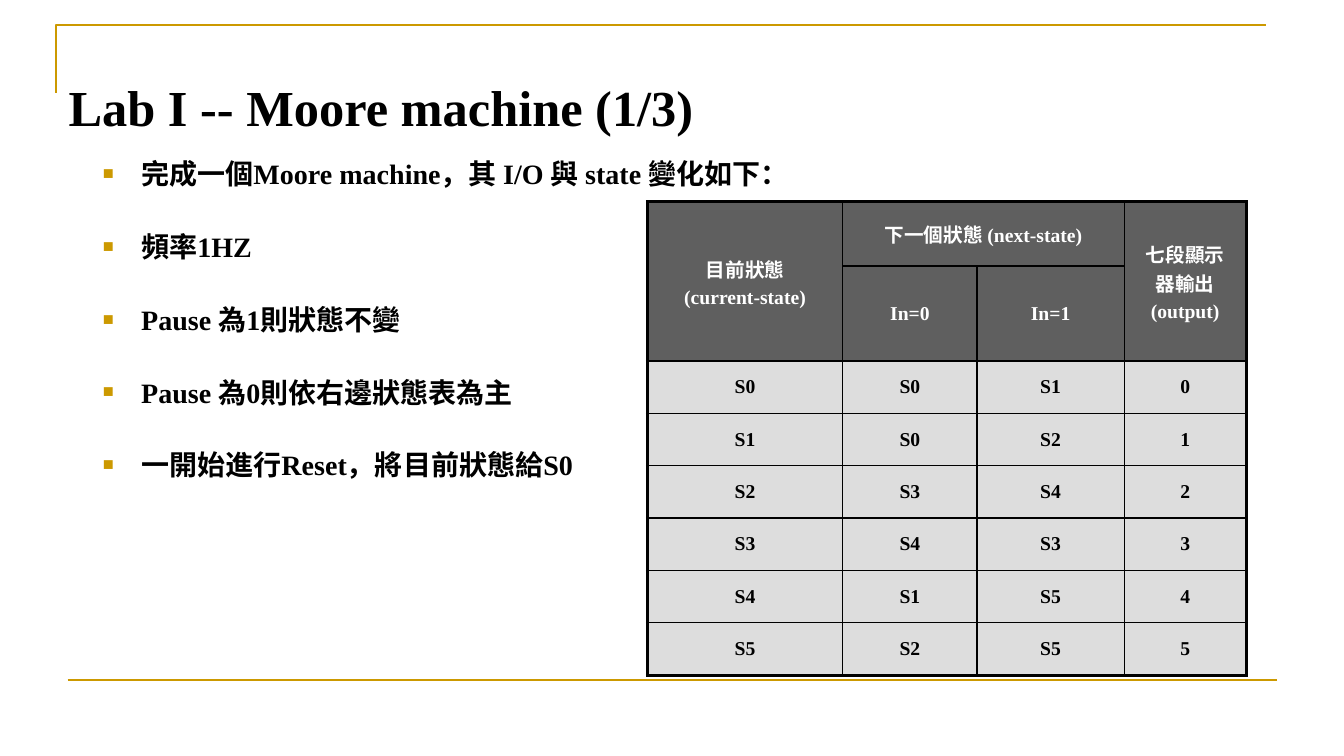
from dataclasses import dataclass

from lxml.etree import SubElement
from pptx import Presentation
from pptx.dml.color import RGBColor
from pptx.enum.shapes import MSO_CONNECTOR
from pptx.enum.text import MSO_ANCHOR, MSO_AUTO_SIZE, PP_ALIGN
from pptx.oxml import parse_xml
from pptx.oxml.ns import nsdecls, qn
from pptx.util import Inches, Pt

COLORS = {
    "rule": "CC9900",
    "text": "000000",
    "header_text": "FFFFFF",
    "header_fill": "5F5F5F",
    "state_fill": "DDDDDD",
}
FONT = "Times New Roman"
BULLETS = [
    "完成一個Moore machine，其 I/O 與 state 變化如下：",
    "頻率1HZ",
    "Pause 為1則狀態不變",
    "Pause 為0則依右邊狀態表為主",
    "一開始進行Reset，將目前狀態給S0",
]
COLUMN_WIDTHS = [1.94, 1.33, 1.46, 1.21]
HEADER_HEIGHTS = [0.64, 0.94]
STATE_HEIGHT = 0.52
CELL_FORMAT = {
    "vertical_anchor": MSO_ANCHOR.MIDDLE,
    "margin_left": Inches(0.12),
    "margin_right": Inches(0.12),
    "margin_top": Inches(0.06),
    "margin_bottom": Inches(0.06),
}


@dataclass(frozen=True)
class HeaderCell:
    row: int
    column: int
    text: str
    row_span: int = 1
    column_span: int = 1


@dataclass(frozen=True)
class StateRow:
    current: str
    next_if_0: str
    next_if_1: str
    output: str


HEADERS = [
    HeaderCell(0, 0, "目前狀態\n(current-state)", row_span=2),
    HeaderCell(0, 1, "下一個狀態 (next-state)", column_span=2),
    HeaderCell(0, 3, "七段顯示器輸出\n(output)", row_span=2),
    HeaderCell(1, 1, "In=0"),
    HeaderCell(1, 2, "In=1"),
]
STATES = [
    StateRow("S0", "S0", "S1", "0"),
    StateRow("S1", "S0", "S2", "1"),
    StateRow("S2", "S3", "S4", "2"),
    StateRow("S3", "S4", "S3", "3"),
    StateRow("S4", "S1", "S5", "4"),
    StateRow("S5", "S2", "S5", "5"),
]


def color(name: str) -> RGBColor:
    return RGBColor.from_string(COLORS[name])


def apply_format(target, values: dict) -> None:
    for name, value in values.items():
        setattr(target, name, value)


def format_font(font, size: float, color_name: str) -> None:
    apply_format(font, {"name": FONT, "size": Pt(size), "bold": True})
    font.color.rgb = color(color_name)


def place(shape, left: float, top: float, width: float, height: float) -> None:
    apply_format(shape, {"left": Inches(left), "top": Inches(top),
                         "width": Inches(width), "height": Inches(height)})


def draw_rules(slide) -> None:
    builder = slide.shapes.build_freeform(Inches(0.56), Inches(0.92))
    builder.add_line_segments(
        [(Inches(0.56), Inches(0.25)), (Inches(12.56), Inches(0.25))], close=False)
    corner = builder.convert_to_shape()
    corner.shadow.inherit = False
    corner.fill.background()
    bottom = slide.shapes.add_connector(
        MSO_CONNECTOR.STRAIGHT, Inches(0.67), Inches(6.75), Inches(12.67), Inches(6.75))
    SubElement(bottom.element.spPr, qn("a:effectLst"))
    for rule in (corner, bottom):
        rule.line.color.rgb = color("rule")
        rule.line.width = Pt(1.5)


def fill_title(title) -> None:
    place(title, 0.58, 0.25, 9.3, 1.32)
    frame = title.text_frame
    frame.text = "Lab I -- Moore machine (1/3)"
    apply_format(frame, {"auto_size": MSO_AUTO_SIZE.NONE, "word_wrap": True,
                         "vertical_anchor": MSO_ANCHOR.MIDDLE})
    paragraph = frame.paragraphs[0]
    apply_format(paragraph, {"alignment": PP_ALIGN.LEFT, "line_spacing": 1.5})
    format_font(paragraph.runs[0].font, 36, "text")


def add_square_bullet(paragraph) -> None:
    properties = paragraph._p.get_or_add_pPr()
    apply_format_xml = {"marL": Inches(0.38), "indent": -Inches(0.38)}
    for name, value in apply_format_xml.items():
        properties.set(name, str(value))
    bullet_color = SubElement(properties, qn("a:buClr"))
    SubElement(bullet_color, qn("a:srgbClr"), val=COLORS["rule"])
    SubElement(properties, qn("a:buSzPct"), val="65000")
    SubElement(properties, qn("a:buFont"), typeface=FONT)
    SubElement(properties, qn("a:buChar"), char="■")


def fill_body(body) -> None:
    place(body, 0.92, 1.17, 11.08, 5.5)
    frame = body.text_frame
    frame.text = "\n".join(BULLETS)
    apply_format(frame, {"auto_size": MSO_AUTO_SIZE.NONE, "word_wrap": True,
                         "vertical_anchor": MSO_ANCHOR.TOP})
    for paragraph in frame.paragraphs:
        paragraph.line_spacing = 2.0
        add_square_bullet(paragraph)
        format_font(paragraph.runs[0].font, 20, "text")


def set_borders(cell, widths: dict[str, float]) -> None:
    """Add cell borders, given as widths in points keyed L, R, T, B in that order."""
    properties = cell._tc.get_or_add_tcPr()
    for position, (side, width) in enumerate(widths.items()):
        properties.insert(position, parse_xml(
            f'<a:ln{side} {nsdecls("a")} w="{Pt(width)}"><a:solidFill>'
            f'<a:srgbClr val="{COLORS["text"]}"/></a:solidFill></a:ln{side}>'))


def write_cell(cell, text: str, color_name: str) -> None:
    cell.text = text
    for paragraph in cell.text_frame.paragraphs:
        paragraph.alignment = PP_ALIGN.CENTER
        spacing = SubElement(paragraph._p.get_or_add_pPr(), qn("a:spcBef"))
        SubElement(spacing, qn("a:spcPct"), val="20000")
        format_font(paragraph.runs[0].font, 14, color_name)


def draw_state_table(slide) -> None:
    heights = HEADER_HEIGHTS + [STATE_HEIGHT] * len(STATES)
    last_row, last_column = len(heights) - 1, len(COLUMN_WIDTHS) - 1
    table = slide.shapes.add_table(
        len(heights), len(COLUMN_WIDTHS), Inches(6.42), Inches(2),
        Inches(sum(COLUMN_WIDTHS)), Inches(sum(heights))).table
    for column, width in zip(table.columns, COLUMN_WIDTHS):
        column.width = Inches(width)
    for row, height in zip(table.rows, heights):
        row.height = Inches(height)
    for row in range(len(heights)):
        for column in range(len(COLUMN_WIDTHS)):
            cell = table.cell(row, column)
            apply_format(cell, CELL_FORMAT)
            cell.fill.solid()
            is_header = row < len(HEADER_HEIGHTS)
            cell.fill.fore_color.rgb = color("header_fill" if is_header else "state_fill")
            at_edge = {"L": column == 0, "R": column == last_column,
                       "T": row == 0, "B": row == last_row}
            set_borders(cell, {side: 2.25 if edge else 1 for side, edge in at_edge.items()})
    for header in HEADERS:
        cell = table.cell(header.row, header.column)
        if header.row_span * header.column_span > 1:
            cell.merge(table.cell(header.row + header.row_span - 1,
                                  header.column + header.column_span - 1))
        write_cell(cell, header.text, "header_text")
    for row, state in enumerate(STATES, start=len(HEADER_HEIGHTS)):
        values = (state.current, state.next_if_0, state.next_if_1, state.output)
        for column, value in enumerate(values):
            write_cell(table.cell(row, column), value, "text")


def main() -> None:
    presentation = Presentation()
    presentation.slide_width = Inches(13.33)
    presentation.slide_height = Inches(7.5)
    slide = presentation.slides.add_slide(presentation.slide_layouts[1])
    draw_rules(slide)
    fill_title(slide.shapes.title)
    fill_body(slide.placeholders[1])
    draw_state_table(slide)
    presentation.save("out.pptx")


if __name__ == "__main__":
    main()
